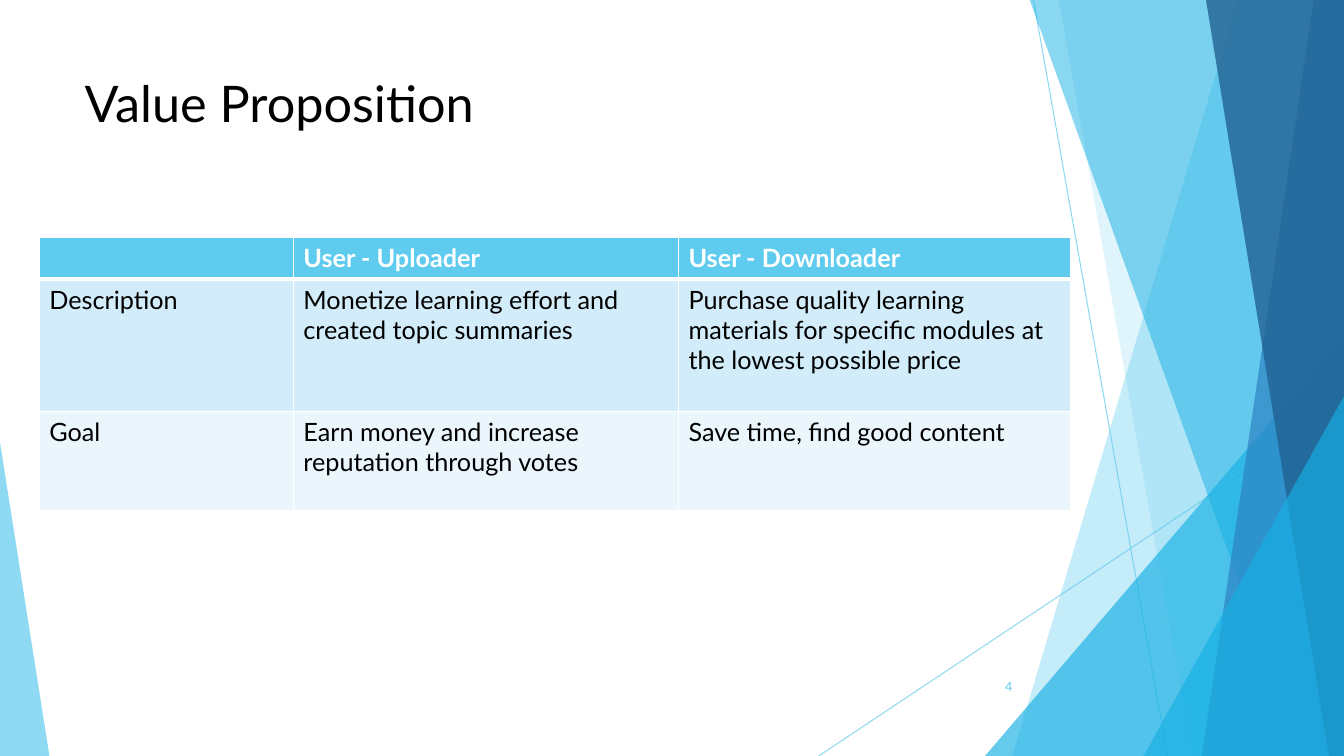
"""Build the value proposition slide with its faceted side art and user table."""
from dataclasses import dataclass

from pptx import Presentation
from pptx.dml.color import RGBColor as Rgb
from pptx.enum.shapes import MSO_CONNECTOR as Link, MSO_SHAPE as Kind
from pptx.enum.text import MSO_ANCHOR as Anchor, MSO_AUTO_SIZE as Fit, PP_ALIGN as Align
from pptx.oxml.ns import qn
from pptx.util import Emu, Pt
from lxml.etree import SubElement

SCALE = 9144
WIDE, HIGH = 1333, 750
FONT = "Lato"
HUES = {
    "sky": "5FCBEF", "cyan": "17B0E4", "blue": "2E83C3", "navy": "226292",
    "pale": "D2ECF9", "mist": "EAF6FC", "white": "FFFFFF", "black": "000000",
}
ROWS = [
    ["", "User - Uploader", "User - Downloader"],
    ["Description", "Monetize learning effort and created topic summaries",
     "Purchase quality learning materials for specific modules at the lowest possible price"],
    ["Goal", "Earn money and increase reputation through votes", "Save time, find good content"],
]
COLS = [252, 382, 389]
TALL = [41, 131, 99]
BANDS = ["sky", "pale", "mist"]


@dataclass(frozen=True)
class Ray:
    start: tuple[int, int]
    end: tuple[int, int]


@dataclass(frozen=True)
class Facet:
    top: int
    foot: int
    hue: str
    alpha: int


@dataclass(frozen=True)
class Wedge:
    box: tuple[int, int, int, int]
    peak: int
    hue: str
    alpha: int


RAYS = [Ray((1025, 0), (1158, HIGH)), Ray((WIDE, 403), (812, HIGH))]
ART = [
    Facet(1228, 1004, "sky", 36),
    Facet(1050, 1183, "sky", 20),
    Wedge((977, 333, 356, 417), 1, "cyan", 66),
    Facet(1021, 1291, "cyan", 50),
    Facet(1303, 1192, "blue", 70),
    Facet(1196, 1318, "navy", 80),
    Wedge((1134, 393, 199, 357), 1, "cyan", 66),
    Wedge((0, 439, 49, 311), 0, "sky", 70),
]


def px(size: int) -> Emu:
    return Emu(size * SCALE)


def tint(hue: str) -> Rgb:
    return Rgb.from_string(HUES[hue])


def fade(shape, alpha: int) -> None:
    for color in shape.element.spPr.iter(qn("a:srgbClr")):
        SubElement(color, qn("a:alpha"), val=str(alpha * 1000))


def style(frame, hue: str, **form) -> None:
    for para in frame.paragraphs:
        para.font.color.rgb = tint(hue)
        for name, value in {"name": FONT, **form}.items():
            setattr(para.font, name, value)


def draw_ray(shapes, ray: Ray) -> None:
    line = shapes.add_connector(Link.STRAIGHT, *map(px, ray.start + ray.end))
    line.line.color.rgb = tint("sky")
    line.line.width = Pt(0.75)
    fade(line, 70)
    SubElement(line.element.spPr, qn("a:effectLst"))


def draw_art(shapes, part: Facet | Wedge) -> None:
    if isinstance(part, Facet):
        path = shapes.build_freeform(px(part.top), px(-1), 1.0)
        ends = [(WIDE, -1), (WIDE, HIGH), (part.foot, HIGH)]
        path.add_line_segments([(px(x), px(y)) for x, y in ends], close=True)
        shape = path.convert_to_shape()
    else:
        shape = shapes.add_shape(Kind.ISOSCELES_TRIANGLE, *map(px, part.box))
        shape.adjustments[0] = part.peak
    shape.shadow.inherit = False
    shape.fill.solid()
    shape.fill.fore_color.rgb = tint(part.hue)
    shape.line.fill.background()
    fade(shape, part.alpha)


def edge(cell, row: int) -> None:
    props = cell._tc.get_or_add_tcPr()
    widths = {"lnL": 1, "lnR": 1, "lnT": 3 if row == 1 else 1, "lnB": 3 if row == 0 else 1}
    for spot, (tag, width) in enumerate(widths.items()):
        line = SubElement(props, qn(f"a:{tag}"), w=str(Pt(width)))
        fill = SubElement(line, qn("a:solidFill"))
        SubElement(fill, qn("a:srgbClr"), val=HUES["white"])
        props.insert(spot, line)


def draw_table(shapes) -> None:
    box = (39, 236, sum(COLS), sum(TALL))
    table = shapes.add_table(len(ROWS), len(COLS), *map(px, box)).table
    for col, width in zip(table.columns, COLS):
        col.width = px(width)
    for row, height in zip(table.rows, TALL):
        row.height = px(height)
    for r, words in enumerate(ROWS):
        for c, word in enumerate(words):
            cell = table.cell(r, c)
            cell.text = word
            cell.fill.solid()
            cell.fill.fore_color.rgb = tint(BANDS[r])
            style(cell.text_frame, "black" if r else "white", size=Pt(18), bold=r == 0)
            edge(cell, r)


def draw_title(title) -> None:
    spots = zip(("left", "top", "width", "height"), (74, 67, 940, 144))
    for name, value in spots:
        setattr(title, name, px(value))
    frame = title.text_frame
    frame.text = "Value Proposition"
    form = {"word_wrap": True, "auto_size": Fit.NONE, "vertical_anchor": Anchor.TOP}
    for name, value in form.items():
        setattr(frame, name, value)
    frame.paragraphs[0].alignment = Align.LEFT
    style(frame, "black", size=Pt(36))


def draw_page(shapes) -> None:
    frame = shapes.add_textbox(*map(px, (939, 661, 75, 40))).text_frame
    frame.text = "4"
    frame.word_wrap = True
    frame.vertical_anchor = Anchor.MIDDLE
    frame.paragraphs[0].alignment = Align.RIGHT
    style(frame, "sky", size=Pt(9))


def main() -> None:
    deck = Presentation()
    deck.slide_width, deck.slide_height = px(WIDE), px(HIGH)
    shapes = deck.slides.add_slide(deck.slide_layouts.get_by_name("Title Only")).shapes
    for ray in RAYS:
        draw_ray(shapes, ray)
    for part in ART:
        draw_art(shapes, part)
    draw_title(shapes.title)
    draw_table(shapes)
    draw_page(shapes)
    deck.save("out.pptx")


if __name__ == "__main__":
    main()
